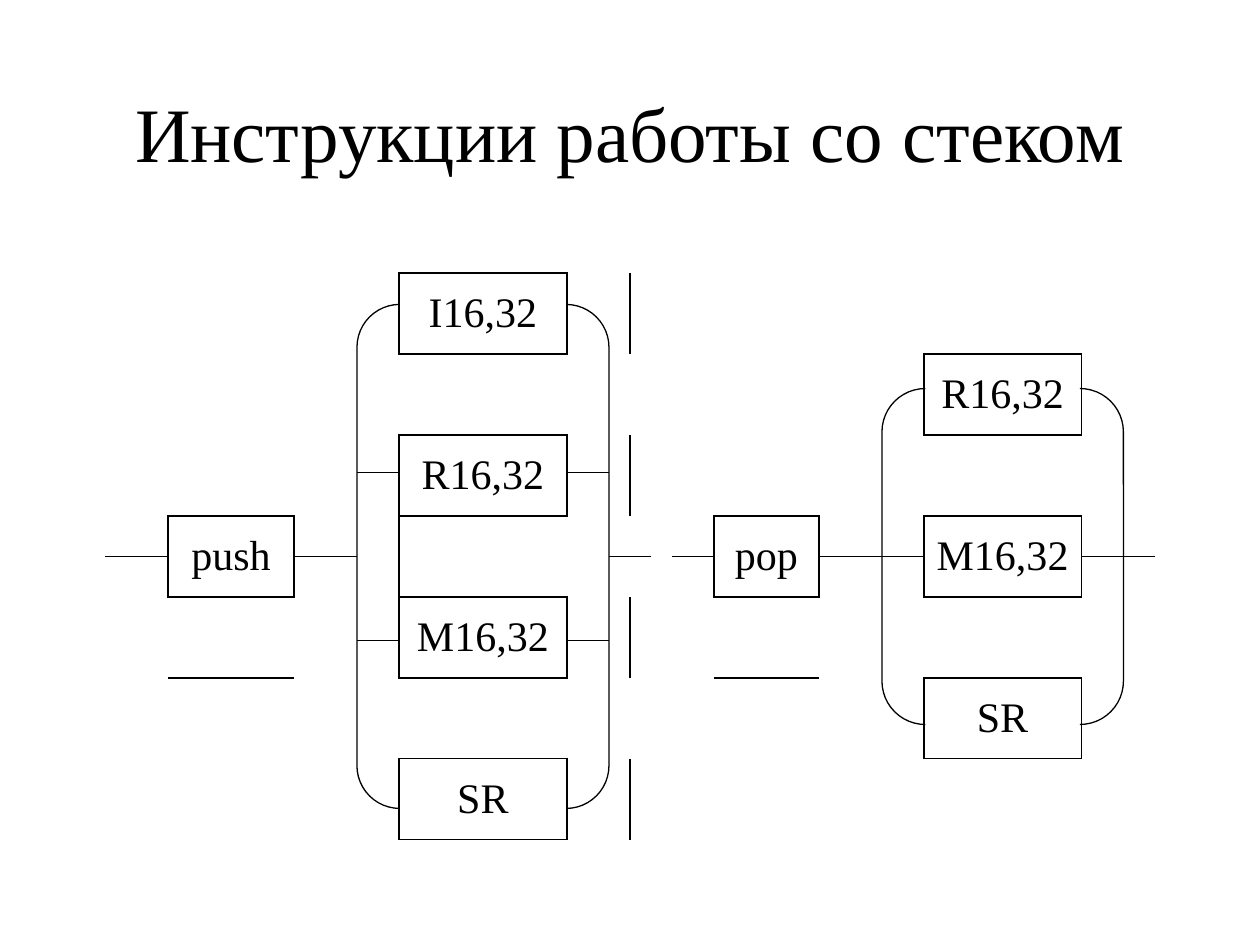
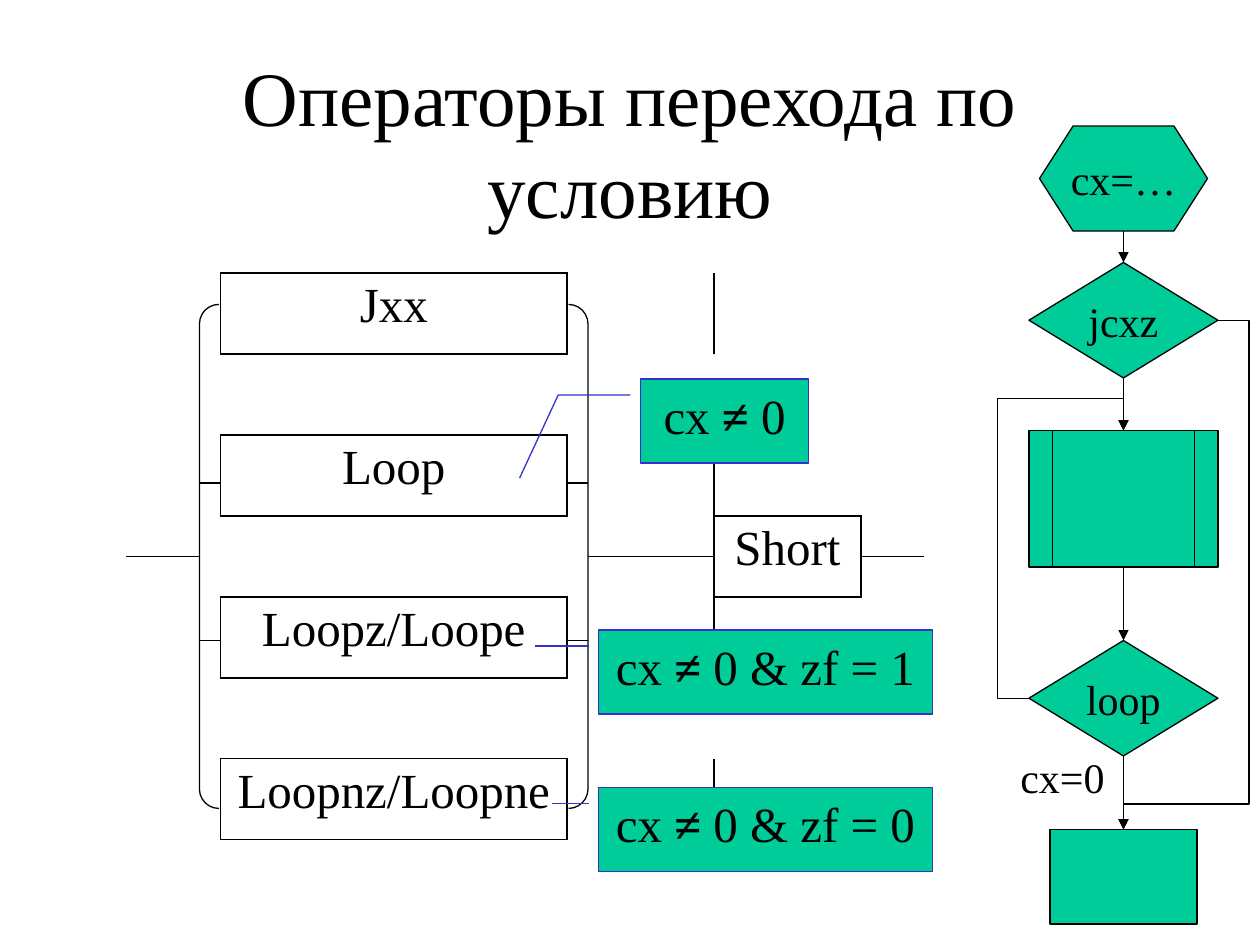
import pptx
import pptx.dml.color
import pptx.enum.shapes
import pptx.enum.text
import pptx.oxml
import pptx.oxml.ns
import pptx.util
from dataclasses import dataclass
from lxml import etree

Cm, Pt = pptx.util.Cm, pptx.util.Pt
SHAPE = pptx.enum.shapes.MSO_SHAPE
LINK = pptx.enum.shapes.MSO_CONNECTOR
ANCHOR = pptx.enum.text.MSO_ANCHOR
ALIGN = pptx.enum.text.PP_ALIGN
qn = pptx.oxml.ns.qn


@dataclass(frozen=True)
class Theme:
    font: str = "Times New Roman"
    ink: str = "000000"
    green: str = "00CC99"
    blue: str = "3333CC"
    title: int = 44
    large: int = 28
    medium: int = 24
    line: float = 0.75
    border: float = 1


THEME = Theme()
TOP, BOTTOM, LEFT, RIGHT = 0, 2, 1, 3
NO_TABLE_STYLE = "{2D5ABB26-0587-4C30-8999-92F81FD0307C}"

# Places are in grid units; the slide is 120 units wide and 90 high.
TABLE_AT = (9, 26, 102, 54)
TABLE_ROWS = 7
MID = 53  # height of the main line through the syntax diagrams

STACK = dict(
    title="Инструкции работы со стеком",
    title_top=5,
    columns=[7, 12, 10, 16, 6, 8, 10, 10, 15, 8],
    cells={(0, 3): "I16,32", (2, 3): "R16,32", (4, 3): "M16,32", (6, 3): "SR",
           (3, 1): "push", (3, 6): "pop",
           (1, 8): "R16,32", (3, 8): "M16,32", (5, 8): "SR"},
    cell_size=THEME.medium,
    cell_anchor=ANCHOR.MIDDLE,
    brackets=[((34, 29, 24, 48), 0.17), ((84, 37, 23, 32), 0.18)],
    rails=[(10, 16, MID), (28, 34, MID), (58, 62, MID),
           (34, 38, 45), (34, 38, 61), (54, 58, 45), (54, 58, 61),
           (64, 68, MID), (78, 88, MID), (103, 110, MID)],
)

JUMPS = dict(
    title="Операторы перехода по условию",
    title_top=6,
    columns=[12, 33, 14, 14, 29],
    cells={(0, 1): "Jxx", (2, 1): "Loop", (4, 1): "Loopz/Loope",
           (6, 1): "Loopnz/Loopne", (3, 3): "Short"},
    cell_size=THEME.large,
    cell_anchor=ANCHOR.TOP,
    brackets=[((19, 29, 37, 48), 0.05)],
    rails=[(12, 19, MID), (56, 68, MID), (82, 88, MID),
           (19, 21, 46), (19, 21, 61), (54, 56, 46), (54, 56, 61)],
)

CALLOUTS = [
    (SHAPE.LINE_CALLOUT_2, (61, 36.1, 16, 8), "cx ≠ 0",
     [0.19, -0.06, 0.19, -0.49, 1.18, -0.72]),
    (SHAPE.LINE_CALLOUT_1, (57, 60, 31.8, 8), "cx ≠ 0 & zf = 1",
     [0.19, -0.03, 0.19, -0.19]),
    (SHAPE.LINE_CALLOUT_1, (57, 75, 31.8, 8), "cx ≠ 0 & zf = 0",
     [0.19, -0.03, 0.19, -0.14]),
]

FLOW_CENTRE = 107
FLOW_STEPS = {  # name: (shape, top, width, height, text)
    "start": (SHAPE.FLOWCHART_PREPARATION, 12, 16, 10, "cx=…"),
    "test": (SHAPE.FLOWCHART_DECISION, 25, 18, 11, "jcxz"),
    "body": (SHAPE.FLOWCHART_PREDEFINED_PROCESS, 41, 18, 13, ""),
    "loop": (SHAPE.FLOWCHART_DECISION, 61, 18, 11, "loop"),
    "next": (SHAPE.FLOWCHART_PROCESS, 79, 14, 9, ""),
}
FLOW_ARROWS = [("start", "test"), ("test", "body"), ("body", "loop"), ("loop", "next")]
FLOW_BENDS = [  # from, side, to, bends
    ("loop", LEFT, "body", (-0.33, 1.12)),
    ("test", RIGHT, "next", (-0.33, 0.95)),
]
EXIT_LABEL = ("cx=0", (96, 71, 13, 6))


def units(*values):
    """Turn grid units into lengths."""
    return [Cm(2.54 / 12 * v) for v in values]


def rgb(colour):
    return pptx.dml.color.RGBColor.from_string(colour)


def write(tf, text, size=THEME.medium, bold="", align=ALIGN.CENTER,
          anchor=ANCHOR.MIDDLE, wrap=True):
    """Fill a text frame with one paragraph; the part equal to bold is set bold."""
    tf.word_wrap = wrap
    tf.vertical_anchor = anchor
    p = tf.paragraphs[0]
    p.alignment = align
    for part in text.partition(bold) if bold else [text]:
        r = p.add_run()
        r.text = part
        r.font.name, r.font.size = THEME.font, Pt(size)
        r.font.bold = bool(bold) and part == bold
        r.font.color.rgb = rgb(THEME.ink)


def add_label(s, text, at, **fmt):
    write(s.shapes.add_textbox(*units(*at)).text_frame, text, **fmt)


def add_figure(s, kind, at, fill=None, line=THEME.ink, adjust=()):
    sp = s.shapes.add_shape(kind, *units(*at))
    sp.shadow.inherit = False
    for i, value in enumerate(adjust):
        sp.adjustments[i] = value
    if fill:
        sp.fill.solid()
        sp.fill.fore_color.rgb = rgb(fill)
    else:
        sp.fill.background()
    sp.line.color.rgb = rgb(line)
    sp.line.width = Pt(THEME.line)
    return sp


def add_link(s, start=(0, 0), end=(0, 0), kind=LINK.STRAIGHT, arrow=False):
    c = s.shapes.add_connector(kind, *units(*start, *end))
    c.line.color.rgb = rgb(THEME.ink)
    c.line.width = Pt(THEME.line)
    pr = c.element.spPr
    etree.SubElement(pr, qn("a:effectLst"))
    if arrow:
        etree.SubElement(pr.find(qn("a:ln")), qn("a:tailEnd"), type="triangle")
    return c


def join(s, first, side, last, bends=()):
    """Draw an arrow from a side of one step to the top of another."""
    c = add_link(s, kind=LINK.ELBOW if bends else LINK.STRAIGHT, arrow=True)
    c.begin_connect(first, side)
    c.end_connect(last, TOP)
    if bends:
        geom = c.element.spPr.find(qn("a:prstGeom"))
        geom.set("prst", "bentConnector4")
        guides = geom.find(qn("a:avLst"))
        if guides is None:
            guides = etree.SubElement(geom, qn("a:avLst"))
        for i, bend in enumerate(bends, 1):
            etree.SubElement(guides, qn("a:gd"), name=f"adj{i}",
                             fmla=f"val {round(bend * 100000)}")


def add_border(cell, side):
    ln = etree.SubElement(cell._tc.get_or_add_tcPr(), qn(f"a:ln{side}"),
                          w=str(Pt(THEME.border)))
    fill = etree.SubElement(ln, qn("a:solidFill"))
    etree.SubElement(fill, qn("a:srgbClr"), val=THEME.ink)


def add_grid(s, columns, cells, size, anchor):
    """Add a table in which only the cells with text are framed."""
    gf = s.shapes.add_table(TABLE_ROWS, len(columns), *units(*TABLE_AT))
    gf.element.find(".//" + qn("a:tableStyleId")).text = NO_TABLE_STYLE
    table = gf.table
    table.first_row = table.horz_banding = False
    for column, width in zip(table.columns, units(*columns)):
        column.width = width
    for row in table.rows:
        row.height = units(TABLE_AT[3] / TABLE_ROWS)[0]
    for r in range(TABLE_ROWS):
        for c in range(len(columns)):
            cell = table.cell(r, c)
            neighbours = {"L": (r, c - 1), "R": (r, c + 1),
                          "T": (r - 1, c), "B": (r + 1, c)}
            for side, place in neighbours.items():
                if (r, c) in cells or place in cells:
                    add_border(cell, side)
            cell.fill.background()
            if (r, c) in cells:
                write(cell.text_frame, cells[r, c], size)
                cell.vertical_anchor = anchor


def add_diagram(prs, d):
    """Add a slide with its title and syntax diagram."""
    s = prs.slides.add_slide(prs.slide_layouts[6])
    add_label(s, d["title"], (9, d["title_top"], 102, 15), size=THEME.title)
    add_grid(s, d["columns"], d["cells"], d["cell_size"], d["cell_anchor"])
    for at, bend in d["brackets"]:
        add_figure(s, SHAPE.DOUBLE_BRACKET, at, adjust=[bend])
    for left, right, y in d["rails"]:
        add_link(s, (left, y), (right, y))
    return s


def add_callouts(s):
    for kind, at, text, adjust in CALLOUTS:
        sp = add_figure(s, kind, at, THEME.green, THEME.blue, adjust)
        write(sp.text_frame, text, THEME.large, bold="≠ ", anchor=ANCHOR.TOP)


def add_flowchart(s):
    steps = {}
    for name, (kind, top, width, height, text) in FLOW_STEPS.items():
        at = (FLOW_CENTRE - width / 2, top, width, height)
        steps[name] = add_figure(s, kind, at, THEME.green)
        if text:
            write(steps[name].text_frame, text, wrap=False)
    for first, last in FLOW_ARROWS:
        join(s, steps[first], BOTTOM, steps[last])
    for first, side, last, bends in FLOW_BENDS:
        join(s, steps[first], side, steps[last], bends)
    text, at = EXIT_LABEL
    add_label(s, text, at, align=ALIGN.LEFT, anchor=ANCHOR.TOP)


def main():
    prs = pptx.Presentation()
    prs.slide_width, prs.slide_height = Cm(25.4), Cm(19.05)
    add_diagram(prs, STACK)
    s = add_diagram(prs, JUMPS)
    add_callouts(s)
    add_flowchart(s)
    prs.save("out.pptx")


if __name__ == "__main__":
    main()
